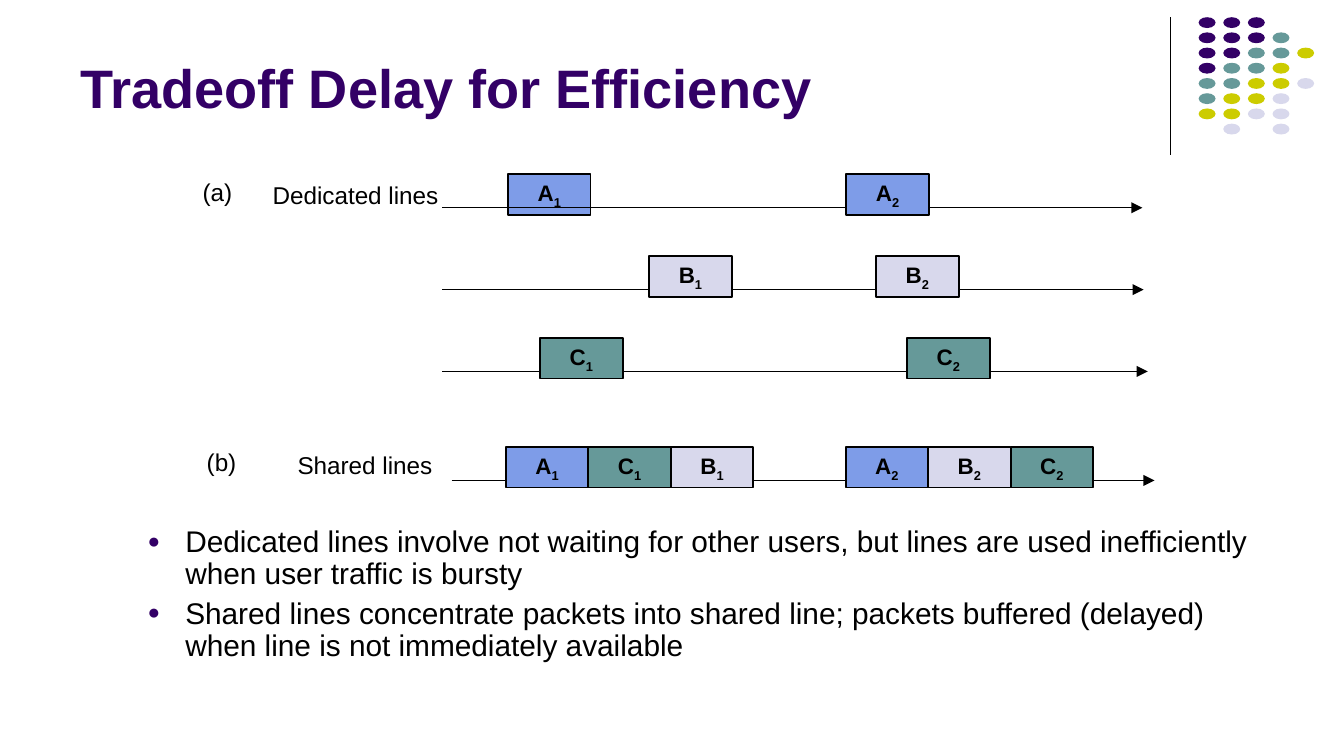
from dataclasses import dataclass

from lxml import etree
from pptx import Presentation
from pptx import util as u
from pptx.dml.color import RGBColor
from pptx.enum import shapes, text
from pptx.oxml.ns import qn

Pt = u.Pt

BLACK = RGBColor(0x00, 0x00, 0x00)
PURPLE = RGBColor(0x33, 0x00, 0x66)
TEAL = RGBColor(0x66, 0x99, 0x99)
YELLOW = RGBColor(0xCC, 0xCC, 0x00)
LAVENDER = RGBColor(0xD8, 0xD8, 0xEC)
BLUE = RGBColor(0x7E, 0x9C, 0xE8)

FONT = "Arial"
USER_COLORS = {"A": BLUE, "B": LAVENDER, "C": TEAL}
PACKET_WIDTH, PACKET_HEIGHT = 44.2, 21.8
PACKET_RISE = 18  # from the top of a packet down to its timeline

DOT_COLORS = {"P": PURPLE, "T": TEAL, "Y": YELLOW, "L": LAVENDER}
DOT_ROWS = ["PPP", "PPPT", "PPTTY", "PTTY", "TTYYL", "TYYL", "YYLL", " L L"]


@dataclass(frozen=True)
class Packet:
    user: str
    number: int
    left: float


@dataclass(frozen=True)
class Timeline:
    start: float
    end: float
    y: float
    front: list[Packet]
    behind: tuple[Packet, ...] = ()


@dataclass(frozen=True)
class Label:
    words: str
    left: float
    top: float
    width: float
    height: float
    size: float = 13
    color: RGBColor = BLACK
    bold: bool = False
    align: text.PP_ALIGN = text.PP_ALIGN.LEFT
    anchor: text.MSO_ANCHOR = text.MSO_ANCHOR.TOP


def packet_train(left: float, names: list[tuple[str, int]]) -> list[Packet]:
    """Packets standing side by side from the given left edge."""
    return [Packet(user, number, left + i * PACKET_WIDTH)
            for i, (user, number) in enumerate(names)]


FIRST_LINE, LINE_STEP = 111.3, 43.85
TIMELINES = [
    Timeline(236.9, 612, FIRST_LINE, [Packet("A", 2, 453.4)],
             behind=(Packet("A", 1, 272.2),)),
    Timeline(236.9, 612.7, FIRST_LINE + LINE_STEP,
             [Packet("B", 1, 347.8), Packet("B", 2, 469.4)]),
    Timeline(236.9, 614.9, FIRST_LINE + 2 * LINE_STEP,
             [Packet("C", 1, 289.4), Packet("C", 2, 486)]),
    Timeline(241.9, 618.5, 257.4,
             packet_train(271, [("A", 1), ("C", 1), ("B", 1)])
             + packet_train(453, [("A", 2), ("B", 2), ("C", 2)])),
]

CENTER = text.PP_ALIGN.CENTER
LABELS = [
    Label("(a)", 101.5, 91.4, 56.9, 23),
    Label("(b)", 103.7, 236.2, 43.2, 23),
    Label("Dedicated lines", 133.9, 93.2, 113, 21.6, align=CENTER),
    Label("Shared lines", 139, 237.9, 113, 21.6, align=CENTER),
    Label("Tradeoff Delay for Efficiency", 36, 7.2, 594, 60.5, size=29,
          color=PURPLE, bold=True, anchor=text.MSO_ANCHOR.BOTTOM),
]

BULLETS = [
    "Dedicated lines involve not waiting for other users, but lines are used "
    "inefficiently when user traffic is bursty",
    "Shared lines concentrate packets into shared line; packets buffered "
    "(delayed) when line is not immediately available",
]


def style_font(para, size: float, color: RGBColor, bold: bool = False) -> None:
    para.font.name = FONT
    para.font.size = Pt(size)
    para.font.bold = bold
    para.font.color.rgb = color


def draw_line(page, start: tuple[float, float], end: tuple[float, float],
              arrow: bool = False) -> None:
    line = page.shapes.add_connector(
        shapes.MSO_CONNECTOR.STRAIGHT, *(Pt(v) for v in start + end))
    line.line.color.rgb = BLACK
    line.line.width = Pt(0.75)
    if arrow:
        etree.SubElement(line.line._get_or_add_ln(), qn("a:tailEnd"), type="triangle")
    etree.SubElement(line._element.spPr, qn("a:effectLst"))


def draw_dots(page) -> None:
    for row, codes in enumerate(DOT_ROWS):
        for column, code in enumerate(codes):
            if code == " ":
                continue
            dot = page.shapes.add_shape(
                shapes.MSO_SHAPE.OVAL, Pt(642.1 + 13.2 * column),
                Pt(9.2 + 8.15 * row), Pt(9.1), Pt(5.8))
            dot.shadow.inherit = False
            dot.fill.solid()
            dot.fill.fore_color.rgb = DOT_COLORS[code]
            dot.line.fill.background()


def draw_packet(page, packet: Packet, line_y: float) -> None:
    box = page.shapes.add_shape(
        shapes.MSO_SHAPE.RECTANGLE, Pt(packet.left), Pt(line_y - PACKET_RISE),
        Pt(PACKET_WIDTH), Pt(PACKET_HEIGHT))
    box.shadow.inherit = False
    box.fill.solid()
    box.fill.fore_color.rgb = USER_COLORS[packet.user]
    box.line.color.rgb = BLACK
    box.line.width = Pt(1)
    frame = box.text_frame
    frame.vertical_anchor = text.MSO_ANCHOR.TOP
    frame.margin_left = frame.margin_right = Pt(5)
    frame.margin_top = frame.margin_bottom = Pt(2.9)
    para = frame.paragraphs[0]
    para.alignment = CENTER
    style_font(para, 12, BLACK, bold=True)
    para.add_run().text = packet.user
    subscript = para.add_run()
    subscript.text = str(packet.number)
    subscript.font._element.set("baseline", "-25000")


def draw_timeline(page, timeline: Timeline) -> None:
    for packet in timeline.behind:
        draw_packet(page, packet, timeline.y)
    draw_line(page, (timeline.start, timeline.y), (timeline.end, timeline.y), arrow=True)
    for packet in timeline.front:
        draw_packet(page, packet, timeline.y)


def draw_label(page, label: Label) -> None:
    box = page.shapes.add_textbox(
        Pt(label.left), Pt(label.top), Pt(label.width), Pt(label.height))
    box.text_frame.word_wrap = True
    box.text_frame.vertical_anchor = label.anchor
    para = box.text_frame.paragraphs[0]
    para.text = label.words
    para.alignment = label.align
    style_font(para, label.size, label.color, label.bold)


def draw_bullets(page) -> None:
    box = page.shapes.add_textbox(Pt(72), Pt(278.6), Pt(620), Pt(87.8))
    frame = box.text_frame
    frame.word_wrap = True
    for i, words in enumerate(BULLETS):
        para = frame.add_paragraph() if i else frame.paragraphs[0]
        para.text = words
        para.line_spacing = 0.9
        para.space_before = Pt(4)
        style_font(para, 16, BLACK)
        props = para._p.get_or_add_pPr()
        props.set("marL", str(Pt(20.2)))
        props.set("indent", str(-Pt(20.2)))
        marks = [etree.Element(qn("a:buClr")),
                 etree.Element(qn("a:buSzPct"), val="70000"),
                 etree.Element(qn("a:buFont"), typeface=FONT),
                 etree.Element(qn("a:buChar"), char="●")]
        etree.SubElement(marks[0], qn("a:srgbClr"), val=str(PURPLE))
        for mark in marks:
            props.find(qn("a:defRPr")).addprevious(mark)


def main() -> None:
    deck = Presentation()
    deck.slide_width, deck.slide_height = Pt(720), Pt(405)
    page = deck.slides.add_slide(deck.slide_layouts[6])
    draw_line(page, (627.1, 9.2), (627.1, 82.9))
    draw_dots(page)
    for timeline in TIMELINES:
        draw_timeline(page, timeline)
    for label in LABELS:
        draw_label(page, label)
    draw_bullets(page)
    deck.save("out.pptx")


if __name__ == "__main__":
    main()
